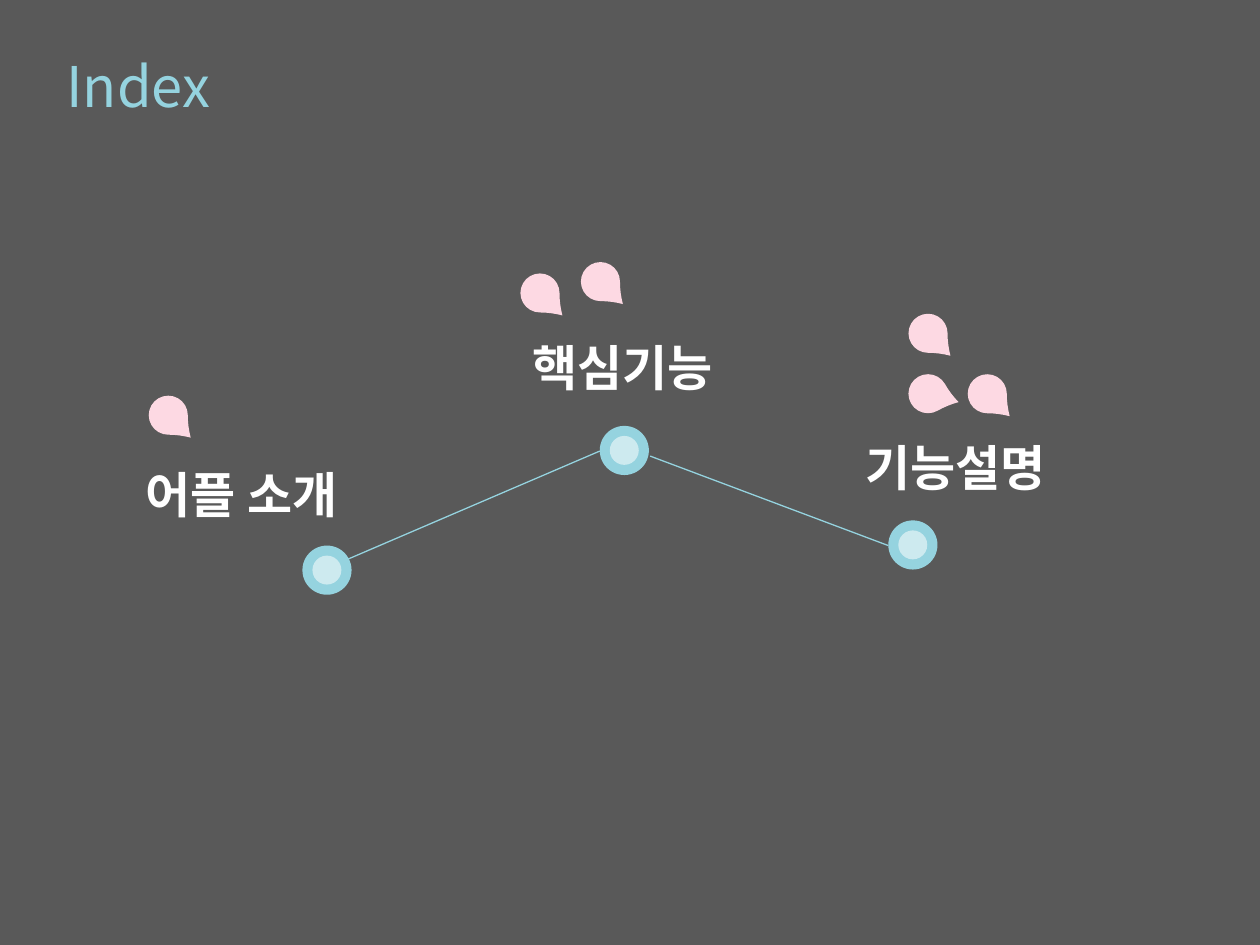
from dataclasses import dataclass

from lxml.etree import SubElement as Sub
from pptx import Presentation
from pptx.dml.color import RGBColor as Color
from pptx.enum.shapes import MSO_CONNECTOR as Link, MSO_SHAPE as Kind
from pptx.enum.text import MSO_AUTO_SIZE as Auto
from pptx.oxml.ns import qn
from pptx.util import Inches, Pt


@dataclass(frozen=True)
class Theme:
    back: str = "595959"
    blue: str = "95D3DF"
    pink: str = "FDD9E3"
    white: str = "FFFFFF"
    head: int = 32
    label: int = 28
    line: float = 0.75
    sans: str = "Arial"
    hangul: str = "Noto Sans CJK KR"


def write(frame, text, *, size, color, font, bold=False):
    run = frame.paragraphs[0].add_run()
    run.text = text
    run.font.size = Pt(size)
    run.font.color.rgb = Color.from_string(color)
    run.font.name = font
    run.font.bold = bold


class Board:
    def __init__(self, slide, theme):
        self.slide = slide
        self.theme = theme

    def shape(self, kind, x, y, w, h, fill, home=None):
        item = (home or self.slide).shapes.add_shape(
            kind, Inches(x), Inches(y), Inches(w), Inches(h))
        item.shadow.inherit = False
        item.fill.solid()
        item.fill.fore_color.rgb = Color.from_string(fill)
        item.line.fill.background()
        return item

    def text(self, text, x, y, h, **style):
        box = self.slide.shapes.add_textbox(
            Inches(x), Inches(y), Inches(2.36), Inches(h))
        box.text_frame.word_wrap = True
        box.text_frame.auto_size = Auto.SHAPE_TO_FIT_TEXT
        write(box.text_frame, text, **style)

    def drop(self, x, y, turn=90):
        item = self.shape(Kind.TEAR, x, y, 0.31, 0.31, self.theme.pink)
        item.adjustments[0] = 1.15
        item.rotation = turn

    def line(self, start, end):
        item = self.slide.shapes.add_connector(
            Link.STRAIGHT, *map(Inches, start + end))
        item.line.color.rgb = Color.from_string(self.theme.blue)
        item.line.width = Pt(self.theme.line)
        Sub(item._element.spPr, qn("a:effectLst"))

    def node(self, x, y):
        group = self.slide.shapes.add_group_shape()
        size, inset = 0.39, 0.08
        core = size - 2 * inset
        self.shape(Kind.OVAL, x, y, size, size, self.theme.blue, group)
        dot = self.shape(Kind.OVAL, x + inset, y + inset, core, core,
                         self.theme.white, group)
        tint = dot._element.spPr.find(qn("a:solidFill"))[0]
        Sub(tint, qn("a:alpha"), val="53000")


def main():
    deck = Presentation()
    deck.slide_width, deck.slide_height = Inches(10), Inches(7.5)
    theme = Theme()
    board = Board(deck.slides.add_slide(deck.slide_layouts[6]), theme)

    board.shape(Kind.RECTANGLE, 0, 0, 10, 7.5, theme.back)
    for text, x, y in (("어플 소개", 1.06, 3.64),
                       ("핵심기능", 4.13, 2.63),
                       ("기능설명", 6.77, 3.42)):
        board.text(text, x, y, 0.57, size=theme.label, color=theme.white,
                   font=theme.sans, bold=True)

    for drop in ((1.18, 3.14), (4.13, 2.17), (4.61, 2.08),
                 (7.21, 2.97, 60.3), (7.68, 2.97), (7.21, 2.49)):
        board.drop(*drop)

    board.text("Index", 0.43, 0.36, 0.64, size=theme.head,
               color=theme.blue, font=theme.hangul)

    board.line((2.64, 4.49), (4.76, 3.58))
    board.line((7.05, 4.33), (5.16, 3.62))
    for x, y in ((2.4, 4.33), (4.76, 3.38), (7.05, 4.13)):
        board.node(x, y)

    deck.save("out.pptx")


if __name__ == "__main__":
    main()
